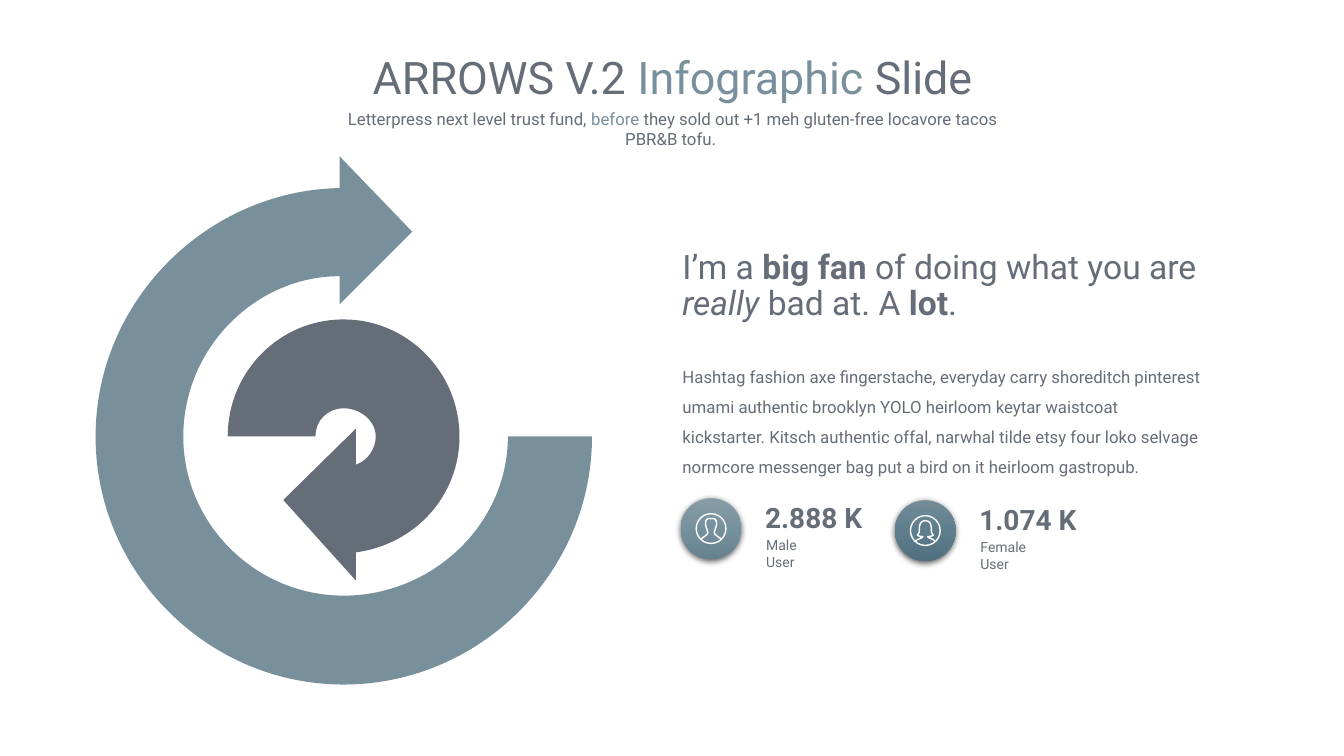
from lxml.etree import SubElement
from pptx import Presentation
from pptx.dml.color import RGBColor
from pptx.enum.shapes import MSO_SHAPE
from pptx.enum.text import MSO_ANCHOR, MSO_AUTO_SIZE, PP_ALIGN
from pptx.oxml.ns import qn
from pptx.util import Cm, Pt

SLATE = RGBColor(0x65, 0x6D, 0x78)
TEAL = RGBColor(0x78, 0x90, 0x9C)
WHITE = RGBColor(0xFF, 0xFF, 0xFF)
BLACK = RGBColor(0, 0, 0)
MALE_GRADIENT = [RGBColor(0x88, 0x9C, 0xA7), RGBColor(0x76, 0x91, 0x9E), RGBColor(0x67, 0x81, 0x8E)]
FEMALE_GRADIENT = [RGBColor(0x74, 0x8C, 0x98), RGBColor(0x5E, 0x7E, 0x8D), RGBColor(0x51, 0x70, 0x7F)]
FONT = "Roboto"

OUTER_ARROW = [
    (12.8, 11), (12.8, 13.21, 10.9, 15.01, 8.66, 15.01),
    (6.45, 15.01, 4.62, 13.21, 4.62, 11), (4.62, 8.76, 6.45, 6.96, 8.56, 6.96),
    (8.56, 7.67), (10.39, 5.84), (8.56, 3.94), (8.56, 4.74),
    (5.23, 4.8, 2.41, 7.57, 2.41, 11), (2.41, 14.43, 5.23, 17.25, 8.66, 17.25),
    (12.09, 17.25, 14.92, 14.43, 14.92, 11),
]
INNER_ARROW = [
    (11.58, 11), (11.58, 9.37, 10.26, 8.05, 8.66, 8.05),
    (7.04, 8.05, 5.74, 9.37, 5.74, 11), (7.95, 11),
    (7.95, 10.59, 8.26, 10.29, 8.66, 10.29), (9.07, 10.29, 9.47, 10.59, 9.47, 11),
    (9.47, 11.3, 9.27, 11.61, 8.97, 11.71), (8.97, 10.8), (7.14, 12.6),
    (8.97, 14.63), (8.97, 13.92), (10.46, 13.72, 11.58, 12.5, 11.58, 11),
]
MALE_HALF = [
    (0, -0.25), (0.09, -0.27), (0.14, -0.24), (0.14, -0.12),
    (0.14, -0.02), (0.08, 0.02), (0.08, 0.1),
    (0.09, 0.18), (0.19, 0.19), (0.25, 0.26),
]
FEMALE_HALF = [
    (0, -0.25), (0.12, -0.25), (0.15, -0.16), (0.15, -0.05),
    (0.15, 0.04), (0.16, 0.09), (0.2, 0.12),
    (0.16, 0.15), (0.12, 0.15), (0.06, 0.15),
    (0.06, 0.2), (0.2, 0.2), (0.25, 0.27),
]


def add_outline(shapes, path, close):
    ends = [(Cm(step[-2]), Cm(step[-1])) for step in path]
    builder = shapes.build_freeform(*ends[0])
    builder.add_line_segments(ends[1:], close=close)
    sp = builder.convert_to_shape()
    sp.shadow.inherit = False
    segments = sp._element.spPr.findall(".//" + qn("a:lnTo"))
    for segment, step in zip(segments, path[1:]):
        if len(step) == 6:
            segment.tag = qn("a:cubicBezTo")
            end = segment[0]
            for x, y in (step[:2], step[2:4]):
                end.addprevious(end.makeelement(qn("a:pt"), {
                    "x": str(Cm(x) - sp.left), "y": str(Cm(y) - sp.top)}))
    return sp


def add_arrow(shapes, path, color):
    sp = add_outline(shapes, path, True)
    sp.fill.solid()
    sp.fill.fore_color.rgb = color
    sp.line.fill.background()


def mirrored_path(half, cx, cy):
    left = [(-x, y) for x, y in reversed(half)]
    points = [(cx + x, cy + y) for x, y in left + half[1:]]
    curves = [sum(points[i:i + 3], ()) for i in range(1, len(points), 3)]
    return points[:1] + curves


def add_circle(shapes, cx, cy, diameter):
    sp = shapes.add_shape(MSO_SHAPE.OVAL, Cm(cx - diameter / 2), Cm(cy - diameter / 2),
                          Cm(diameter), Cm(diameter))
    sp.shadow.inherit = False
    return sp


def draw_white_line(sp):
    sp.fill.background()
    sp.line.color.rgb = WHITE
    sp.line.width = Pt(1)


def set_gradient(sp, colors):
    sp.fill.gradient()
    sp.fill.gradient_angle = 270
    stops = sp._element.spPr.find(".//" + qn("a:gsLst"))
    for stop in list(stops):
        stops.remove(stop)
    for i, color in enumerate(colors):
        stop = SubElement(stops, qn("a:gs"), pos=str(i * 50000))
        SubElement(stop, qn("a:srgbClr"), val=str(color))


def set_shadow(sp):
    effects = sp._element.spPr.find(qn("a:effectLst"))
    shadow = SubElement(effects, qn("a:outerShdw"), blurRad=str(Pt(4.5)), dist=str(Pt(1.5)),
                        dir="5400000", algn="ctr", rotWithShape="0")
    color = SubElement(shadow, qn("a:srgbClr"), val=str(BLACK))
    SubElement(color, qn("a:alpha"), val="63000")


def fill_text(sp, runs, size, align=PP_ALIGN.LEFT, spacing=1.0):
    tf = sp.text_frame
    tf.word_wrap = True
    tf.auto_size = MSO_AUTO_SIZE.NONE
    tf.vertical_anchor = MSO_ANCHOR.TOP
    p = tf.paragraphs[0]
    p.alignment = align
    p.line_spacing = spacing
    for text, color, style in runs:
        r = p.add_run()
        r.text = text
        r.font.name = FONT
        r.font.size = Pt(size)
        r.font.color.rgb = color
        r.font.bold = style == "bold"
        r.font.italic = style == "italic"
    return tf


def add_text(shapes, box, runs, size, **options):
    sp = shapes.add_textbox(*[Cm(v) for v in box])
    return fill_text(sp, runs, size, **options)


def add_title(slide, box, runs):
    sp = slide.shapes.title
    sp.left, sp.top, sp.width, sp.height = [Cm(v) for v in box]
    fill_text(sp, runs, 32, align=PP_ALIGN.CENTER)


def add_user_badge(slide, cx, cy, colors, half, figure, label, label_width):
    shapes = slide.shapes.add_group_shape().shapes
    disc = add_circle(shapes, cx, cy, 1.53)
    set_gradient(disc, colors)
    disc.line.fill.background()
    set_shadow(disc)
    draw_white_line(add_circle(shapes, cx, cy, 0.75))
    draw_white_line(add_outline(shapes, mirrored_path(half, cx, cy), False))
    add_text(shapes, (cx + 1.11, cy - 0.84, 3.02, 1.12), [(figure, SLATE, "bold")], 20)
    tf = add_text(shapes, (cx + 1.39, cy + 0.21, label_width, 0.43), [(label, SLATE, "")], 10)
    tf.margin_left = tf.margin_top = tf.margin_right = tf.margin_bottom = 0


def main():
    prs = Presentation()
    prs.slide_width, prs.slide_height = Cm(33.87), Cm(19.05)
    s = prs.slides.add_slide(prs.slide_layouts[5])
    add_title(s, (6.46, 1.13, 20.98, 1.63), [
        ("ARROWS V.2 ", SLATE, ""), ("Infographic ", TEAL, ""), ("Slide", SLATE, "")])
    add_text(s.shapes, (8.13, 2.62, 17.65, 1.25), [
        ("Letterpress next level trust fund, ", SLATE, ""),
        ("before", TEAL, ""),
        (" they sold out +1 meh gluten-free locavore tacos PBR&B tofu. ", SLATE, ""),
    ], 12, align=PP_ALIGN.CENTER)
    add_arrow(s.shapes, OUTER_ARROW, TEAL)
    add_arrow(s.shapes, INNER_ARROW, SLATE)
    add_text(s.shapes, (16.95, 6.18, 13.87, 2.11), [
        ("I’m a ", SLATE, ""), ("big fan ", SLATE, "bold"),
        ("of doing what you are ", SLATE, ""), ("really", SLATE, "italic"),
        (" bad at. A ", SLATE, ""), ("lot", SLATE, "bold"), (".", SLATE, ""),
    ], 24, spacing=0.9)
    add_text(s.shapes, (16.95, 8.85, 13.65, 3.33), [(
        "Hashtag fashion axe fingerstache, everyday carry shoreditch pinterest umami "
        "authentic brooklyn YOLO heirloom keytar waistcoat kickstarter. Kitsch authentic "
        "offal, narwhal tilde etsy four loko selvage normcore messenger bag put a bird "
        "on it heirloom gastropub.", SLATE, "")], 12, spacing=1.5)
    add_user_badge(s, 17.92, 13.32, MALE_GRADIENT, MALE_HALF, "2.888 K", "Male User", 1.4)
    add_user_badge(s, 23.32, 13.37, FEMALE_GRADIENT, FEMALE_HALF, "1.074 K", "Female User", 1.85)
    prs.save("out.pptx")


if __name__ == "__main__":
    main()
